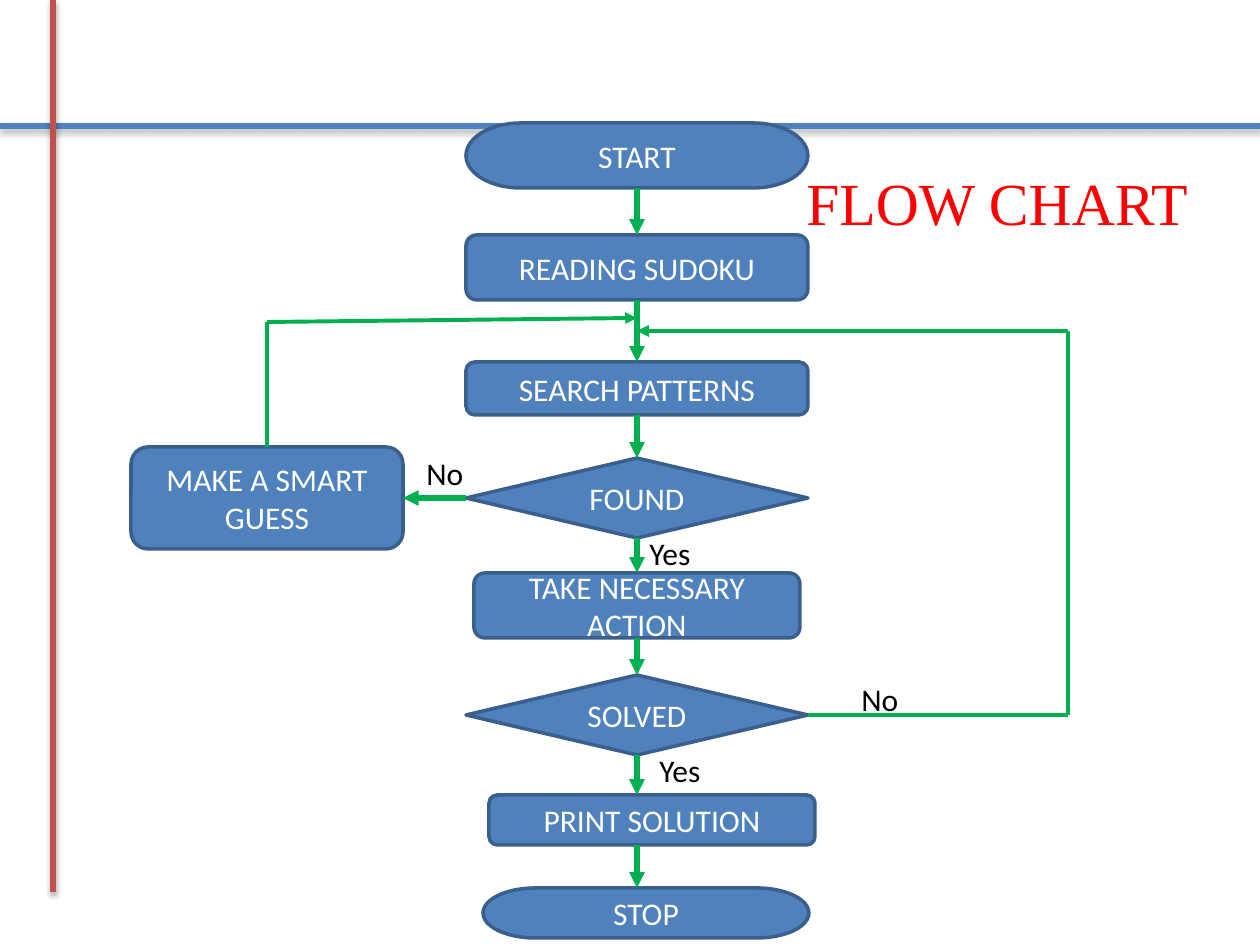
import pptx
import pptx.dml.color
import pptx.enum.shapes
import pptx.enum.text
import pptx.oxml
import pptx.oxml.ns
import pptx.util

PX = 914400 / 126
WIDTH, HEIGHT = 1260, 945
BLUE, BLUE_EDGE, RED_RULE, GREEN = "4F81BD", "3A5F8C", "C0504D", "00B050"
TOP, LEFT, BOTTOM, RIGHT = range(4)
SHAPES = pptx.enum.shapes.MSO_SHAPE
TERMINATOR = SHAPES.FLOWCHART_TERMINATOR
PROCESS = SHAPES.FLOWCHART_ALTERNATE_PROCESS
DECISION = SHAPES.FLOWCHART_DECISION
NAMESPACE = pptx.oxml.ns.nsdecls("a")
NO_EFFECTS = f"<a:effectLst {NAMESPACE}/>"
RULE_SHADOW = (
    f'<a:effectLst {NAMESPACE}><a:outerShdw blurRad="40000" dist="23000" dir="5400000" '
    'rotWithShape="0"><a:srgbClr val="000000"><a:alpha val="35000"/></a:srgbClr>'
    "</a:outerShdw></a:effectLst>"
)


def px(*lengths):
    return [pptx.util.Emu(round(length * PX)) for length in lengths]


def color(value):
    return pptx.dml.color.RGBColor.from_string(value)


def set_text(shape, text, size, font, text_color, centered=True):
    frame = shape.text_frame
    frame.text = text
    frame.word_wrap = True
    paragraph = frame.paragraphs[0]
    paragraph.font.size = pptx.util.Pt(size)
    paragraph.font.name = font
    paragraph.font.color.rgb = color(text_color)
    if centered:
        frame.vertical_anchor = pptx.enum.text.MSO_ANCHOR.MIDDLE
        paragraph.alignment = pptx.enum.text.PP_ALIGN.CENTER


def add_node(slide, kind, text, left, top, width, height):
    shape = slide.shapes.add_shape(kind, *px(left, top, width, height))
    shape.shadow.inherit = False
    shape.fill.solid()
    shape.fill.fore_color.rgb = color(BLUE)
    shape.line.color.rgb = color(BLUE_EDGE)
    shape.line.width = pptx.util.Pt(2)
    set_text(shape, text, 18, "Calibri", "FFFFFF")
    return shape


def add_label(slide, text, left, top, width):
    box = slide.shapes.add_textbox(*px(left, top, width, 50))
    set_text(box, text, 18, "Calibri", "000000", centered=False)
    box.text_frame.auto_size = pptx.enum.text.MSO_AUTO_SIZE.SHAPE_TO_FIT_TEXT


def add_line(slide, start, end, line_color=GREEN, width=3, arrow=False, effects=NO_EFFECTS):
    line = slide.shapes.add_connector(
        pptx.enum.shapes.MSO_CONNECTOR.STRAIGHT, *px(*start, *end))
    line.line.color.rgb = color(line_color)
    line.line.width = pptx.util.Pt(width)
    if arrow:
        line.line._get_or_add_ln().append(
            pptx.oxml.parse_xml(f'<a:tailEnd {NAMESPACE} type="triangle"/>'))
    line._element.spPr.append(pptx.oxml.parse_xml(effects))
    return line


def add_route(slide, points):
    """Draw joined segments through the points, with an arrowhead on the last."""
    segments = list(zip(points, points[1:]))
    return [add_line(slide, start, end, width=2.25, arrow=index == len(segments) - 1)
            for index, (start, end) in enumerate(segments)]


def add_margin_rules(slide):
    add_line(slide, (0, 126), (WIDTH, 126), BLUE, effects=RULE_SHADOW)
    add_line(slide, (53, 0), (53, 892), RED_RULE, effects=RULE_SHADOW)


def add_title(slide, left, top, width, height):
    title = slide.shapes.title
    title.left, title.top, title.width, title.height = px(left, top, width, height)
    set_text(title, "FLOW CHART", 34.1, "Times New Roman", "FF0000")


def add_main_flow(slide, left, top):
    """Build the central column and return its two decisions."""
    steps = [
        (TERMINATOR, "START", 0, 0, 342, 65),
        (PROCESS, "READING SUDOKU", 0, 112, 342, 65),
        (PROCESS, "SEARCH PATTERNS", 0, 239, 342, 53),
        (DECISION, "FOUND", 0, 335, 342, 80),
        (PROCESS, "TAKE NECESSARY ACTION", 8, 450, 326, 65),
        (DECISION, "SOLVED", 0, 552, 342, 80),
        (PROCESS, "PRINT SOLUTION", 23, 672, 326, 50),
        (TERMINATOR, "STOP", 17, 765, 326, 50),
    ]
    axis = 171
    nodes = [add_node(slide, kind, text, left + x, top + y, width, height)
             for kind, text, x, y, width, height in steps]
    for index in range(len(steps) - 1):
        upper, lower = steps[index:index + 2]
        arrow = add_line(slide, (left + axis, top + upper[3] + upper[5]),
                         (left + axis, top + lower[3]), arrow=True)
        # The last two boxes sit off the axis, so arrows there stay unjoined.
        if upper[2] + upper[4] / 2 == axis:
            arrow.begin_connect(nodes[index], BOTTOM)
        if lower[2] + lower[4] / 2 == axis:
            arrow.end_connect(nodes[index + 1], TOP)
    add_label(slide, "Yes", left + 171, top + 405, 110)
    add_label(slide, "Yes", left + 181, top + 622, 113)
    return nodes[3], nodes[5]


def add_guess_loop(slide, found, left, top):
    """Lead from FOUND to the guess box and back up to the main flow."""
    guess = add_node(slide, PROCESS, "MAKE A SMART GUESS", left, top + 129, 272, 102)
    arrow = add_line(slide, (left + 335, top + 180), (left + 272, top + 180), arrow=True)
    arrow.begin_connect(found, LEFT)
    arrow.end_connect(guess, RIGHT)
    route = add_route(slide, [(left + 136, top + 129), (left + 136, top + 4),
                              (left + 506, top)])
    route[0].begin_connect(guess, TOP)
    add_label(slide, "No", left + 283, top + 130, 69)


def add_retry_loop(slide, solved, left, top):
    """Lead from SOLVED around the right side back to the main flow."""
    route = add_route(slide, [(left + 171, top + 384), (left + 431, top + 384),
                              (left + 431, top), (left, top)])
    route[0].begin_connect(solved, RIGHT)
    add_label(slide, "No", left + 212, top + 343, 68)


def main():
    presentation = pptx.Presentation()
    presentation.slide_width, presentation.slide_height = px(WIDTH, HEIGHT)
    slide = presentation.slides.add_slide(presentation.slide_layouts[5])
    add_margin_rules(slide)
    add_title(slide, 740, 165, 514, 74)
    found, solved = add_main_flow(slide, 466, 123)
    add_guess_loop(slide, found, 131, 318)
    add_retry_loop(slide, solved, 637, 331)
    presentation.save("out.pptx")


if __name__ == "__main__":
    main()
